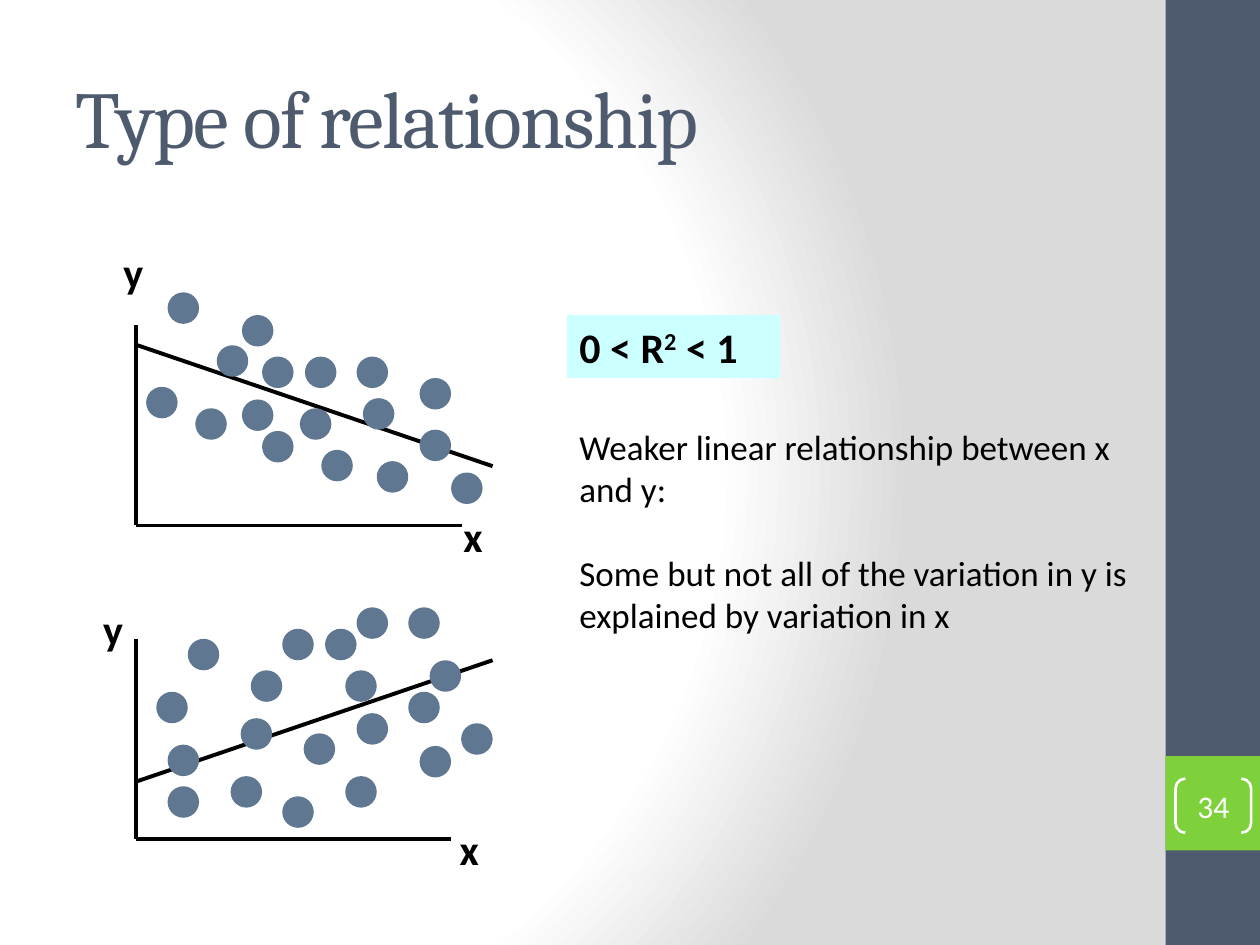
from dataclasses import dataclass

from lxml.etree import SubElement
from pptx import Presentation
from pptx.dml.color import RGBColor
from pptx.enum.shapes import MSO_CONNECTOR, MSO_SHAPE
from pptx.enum.text import MSO_ANCHOR, PP_ALIGN
from pptx.oxml import parse_xml
from pptx.oxml.ns import nsdecls, qn
from pptx.util import Inches, Pt


@dataclass(frozen=True)
class Theme:
    ink: str = "000000"
    slate: str = "4E5B6F"
    green: str = "7FD13B"
    dot: str = "5F7791"
    cyan: str = "CCFFFF"
    white: str = "FFFFFF"
    shade: str = "DADADA"
    heading: str = "Cambria"
    body: str = "Calibri"
    title_size: int = 46
    label_size: int = 24
    text_size: int = 20
    number_size: int = 18


T = Theme()
WIDTH, HEIGHT = 10, 7.5
BAND = 0.75
DOT = 0.25
AXIS_X, AXIS_HEIGHT = 1.08, 1.59
TEXT_X = 0.45 * WIDTH

TITLE = "Type of relationship"
FORMULA = [("0 < R", 0), ("2", 30), (" < 1", 0)]
NOTES = [
    "Weaker linear relationship between x and y:",
    "Some but not all of the variation in y is explained by variation in x",
]
PAGE = "34"

# Positions are inches right of and above each plot's axis corner;
# dots and labels are placed by their top left corner.
PLOTS = [
    {
        "base": 4.17,
        "length": 2.59,
        "trend": [(0.01, 1.43), (2.83, 0.47)],
        "labels": {"y": (-0.2, 2.26), "x": (2.5, 0.17)},
        "dots": [
            (0.08, 1.1), (0.25, 1.85), (0.47, 0.93), (0.64, 1.43), (0.84, 1.67),
            (0.84, 1.0), (1.0, 1.34), (1.0, 0.75), (1.3, 0.93), (1.34, 1.34),
            (1.47, 0.6), (1.75, 1.34), (1.8, 1.01), (1.91, 0.51), (2.25, 1.17),
            (2.25, 0.76), (2.5, 0.42),
        ],
    },
    {
        "base": 6.66,
        "length": 2.5,
        "trend": [(0.01, 0.46), (2.83, 1.42)],
        "labels": {"y": (-0.36, 1.92), "x": (2.47, 0.17)},
        "dots": [
            (0.16, 1.17), (0.25, 0.75), (0.25, 0.42), (0.41, 1.59), (0.75, 0.5),
            (0.83, 0.96), (0.91, 1.34), (1.16, 1.67), (1.16, 0.34), (1.33, 0.84),
            (1.5, 1.67), (1.66, 1.34), (1.66, 0.5), (1.75, 1.84), (1.75, 1.0),
            (2.16, 1.84), (2.16, 1.17), (2.25, 0.74), (2.33, 1.42), (2.58, 0.92),
        ],
    },
]


def rgb(color):
    return RGBColor.from_string(color)


def set_font(p, size, color=T.ink, bold=False, name=T.body):
    p.font.name, p.font.size, p.font.bold = name, Pt(size), bold
    p.font.color.rgb = rgb(color)


def add_shape(s, kind, x, y, w, h, fill=None):
    sp = s.shapes.add_shape(kind, *map(Inches, (x, y, w, h)))
    sp.shadow.inherit = False
    sp.line.fill.background()
    if fill:
        sp.fill.solid()
        sp.fill.fore_color.rgb = rgb(fill)
    else:
        sp.fill.background()
    return sp


def add_line(s, start, end, width):
    line = s.shapes.add_connector(
        MSO_CONNECTOR.STRAIGHT, *map(Inches, (*start, *end)))
    line.line.color.rgb = rgb(T.ink)
    line.line.width = Pt(width)
    SubElement(line._element.spPr, qn("a:effectLst"))


def add_background(s):
    """Radial gradient, which needs XML."""
    stops = "".join(
        f'<a:gs pos="{pos * 1000}"><a:srgbClr val="{color}"/></a:gs>'
        for pos, color in [(0, T.white), (75, T.white), (100, T.shade)])
    s._element.cSld.insert(0, parse_xml(
        f'<p:bg {nsdecls("p", "a")}><p:bgPr><a:gradFill rotWithShape="1">'
        f'<a:gsLst>{stops}</a:gsLst><a:path path="circle">'
        '<a:fillToRect l="20000" t="50000" r="100000" b="50000"/></a:path>'
        '</a:gradFill><a:effectLst/></p:bgPr></p:bg>'))


def add_title(s):
    title = s.shapes.title
    title.left, title.top = Inches(0.05 * WIDTH), Inches(0.04 * HEIGHT)
    title.width, title.height = Inches(8.33), Inches(1.25)
    tf = title.text_frame
    tf.text = TITLE
    tf.vertical_anchor = MSO_ANCHOR.MIDDLE
    p = tf.paragraphs[0]
    p.alignment = PP_ALIGN.LEFT
    set_font(p, T.title_size, T.slate, name=T.heading)
    p.runs[0].font._element.set("spc", "-100")


def add_plot(s, plot):
    def place(point):
        return AXIS_X + point[0], plot["base"] - point[1]

    corner = place((0, 0))
    add_line(s, place((0, AXIS_HEIGHT)), corner, 2)
    add_line(s, corner, place((plot["length"], 0)), 2)
    add_line(s, *map(place, plot["trend"]), 2.25)
    for dot in plot["dots"]:
        add_shape(s, MSO_SHAPE.OVAL, *place(dot), DOT, DOT, T.dot)
    for text, point in plot["labels"].items():
        box = s.shapes.add_textbox(*map(Inches, (*place(point), 0.39, 0.5)))
        box.text_frame.text = text
        set_font(box.text_frame.paragraphs[0], T.label_size, bold=True)


def add_formula(s):
    sp = add_shape(s, MSO_SHAPE.RECTANGLE, TEXT_X, HEIGHT / 3, 1.69, 0.5, T.cyan)
    tf = sp.text_frame
    tf.vertical_anchor = MSO_ANCHOR.TOP
    p = tf.paragraphs[0]
    p.alignment = PP_ALIGN.LEFT
    set_font(p, T.label_size, bold=True)
    for text, raised in FORMULA:
        r = p.add_run()
        r.text = text
        if raised:
            r.font._element.set("baseline", str(raised * 1000))


def add_notes(s):
    box = s.shapes.add_textbox(*map(Inches, (TEXT_X, 3.33, 4.58, 1.78)))
    tf = box.text_frame
    tf.word_wrap = True
    tf.text = "\n".join(NOTES)
    for p in tf.paragraphs:
        set_font(p, T.text_size)
    tf.paragraphs[-1].space_before = Pt(24)


def add_page_number(s):
    sp = add_shape(s, MSO_SHAPE.DOUBLE_BRACKET, 9.33, 6.18, 0.6, 0.43)
    sp.adjustments[0] = 0.18
    sp.line.color.rgb = rgb(T.white)
    sp.line.width = Pt(1.5)
    tf = sp.text_frame
    tf.margin_left = tf.margin_right = tf.margin_top = tf.margin_bottom = 0
    tf.vertical_anchor = MSO_ANCHOR.MIDDLE
    tf.text = PAGE
    tf.paragraphs[0].alignment = PP_ALIGN.CENTER
    set_font(tf.paragraphs[0], T.number_size, T.white)


def main():
    prs = Presentation()
    prs.slide_width, prs.slide_height = Inches(WIDTH), Inches(HEIGHT)
    s = prs.slides.add_slide(prs.slide_layouts[5])
    add_background(s)
    band_x = WIDTH - BAND
    add_shape(s, MSO_SHAPE.RECTANGLE, band_x, 0, BAND, HEIGHT, T.slate)
    add_shape(s, MSO_SHAPE.RECTANGLE, band_x, 0.8 * HEIGHT, BAND, BAND, T.green)
    add_title(s)
    for plot in PLOTS:
        add_plot(s, plot)
    add_formula(s)
    add_notes(s)
    add_page_number(s)
    prs.save("out.pptx")


if __name__ == "__main__":
    main()
